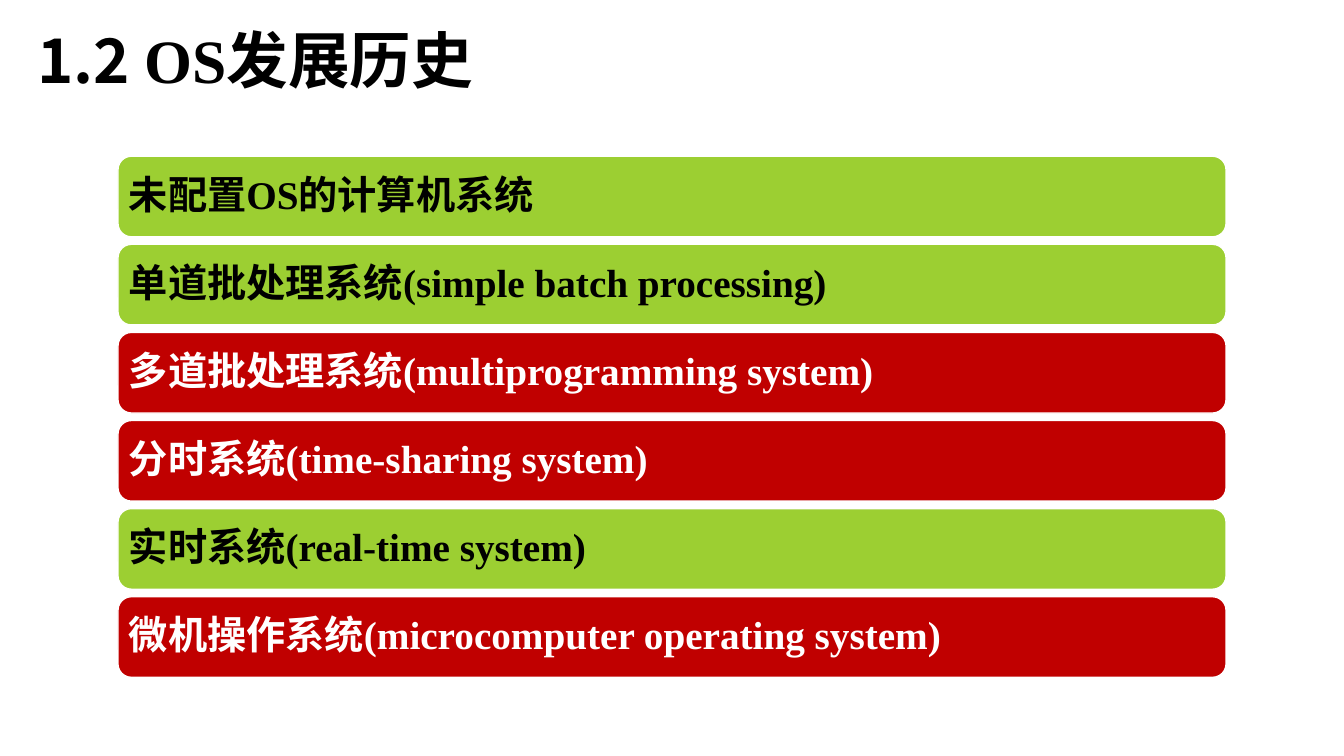
from lxml.etree import SubElement
from pptx import Presentation
from pptx.dml.color import RGBColor
from pptx.enum.shapes import MSO_SHAPE as Shape
from pptx.enum.text import MSO_ANCHOR as Anchor, PP_ALIGN as Align
from pptx.oxml.ns import qn
from pptx.util import Inches, Pt

SANS, SERIF = "Noto Sans CJK SC", "Times New Roman"
GREEN, RED, BLACK, WHITE = "9CCF32", "C00000", "000000", "FFFFFF"

TITLE = [("1.2 ", SANS), ("OS", SERIF), ("发展历史", SANS)]
STAGES = [
    ("未配置OS的计算机系统", GREEN, BLACK),
    ("单道批处理系统(simple batch processing)", GREEN, BLACK),
    ("多道批处理系统(multiprogramming system)", RED, WHITE),
    ("分时系统(time-sharing system)", RED, WHITE),
    ("实时系统(real-time system)", GREEN, BLACK),
    ("微机操作系统(microcomputer operating system)", RED, WHITE),
]

BAR_LEFT, BAR_TOP, BAR_WIDTH, BAR_HEIGHT = 1.17, 1.55, 10.99, 0.8
BAR_PITCH = 0.874
BAR_INSET = 0.07


def color(hex_string):
    return RGBColor.from_string(hex_string)


def set_typeface(font, latin):
    """Set the Latin typeface, with the sans face for Chinese characters."""
    font.name = latin
    SubElement(font._element, qn("a:ea")).set("typeface", SANS)


def format_paragraph(paragraph, size, text_color):
    paragraph.alignment = Align.LEFT
    paragraph.line_spacing = 0.9
    paragraph.font.size = Pt(size)
    paragraph.font.bold = True
    paragraph.font.color.rgb = color(text_color)


def add_title(slide):
    title = slide.shapes.title
    title.left, title.top = Inches(0.27), Inches(0.04)
    title.width, title.height = Inches(11.27), Inches(1.18)
    title.text_frame.vertical_anchor = Anchor.MIDDLE
    heading = title.text_frame.paragraphs[0]
    format_paragraph(heading, 44, BLACK)
    for text, typeface in TITLE:
        run = heading.add_run()
        run.text = text
        set_typeface(run.font, typeface)


def add_stage(slide, index, text, fill, text_color):
    bar = slide.shapes.add_shape(
        Shape.ROUNDED_RECTANGLE,
        Inches(BAR_LEFT), Inches(BAR_TOP + index * BAR_PITCH),
        Inches(BAR_WIDTH), Inches(BAR_HEIGHT))
    bar.shadow.inherit = False
    bar.fill.solid()
    bar.fill.fore_color.rgb = color(fill)
    bar.line.color.rgb = color(WHITE)
    bar.line.width = Pt(1)
    frame = bar.text_frame
    frame.word_wrap = True
    frame.vertical_anchor = Anchor.MIDDLE
    frame.margin_left = frame.margin_right = Inches(BAR_INSET)
    frame.margin_top = frame.margin_bottom = Inches(BAR_INSET)
    label = frame.paragraphs[0]
    label.text = text
    format_paragraph(label, 28, text_color)
    set_typeface(label.font, SERIF)


def main():
    deck = Presentation()
    deck.slide_width, deck.slide_height = Inches(13.33), Inches(7.5)
    slide = deck.slides.add_slide(deck.slide_layouts[5])
    add_title(slide)
    for index, stage in enumerate(STAGES):
        add_stage(slide, index, *stage)
    deck.save("out.pptx")


if __name__ == "__main__":
    main()
